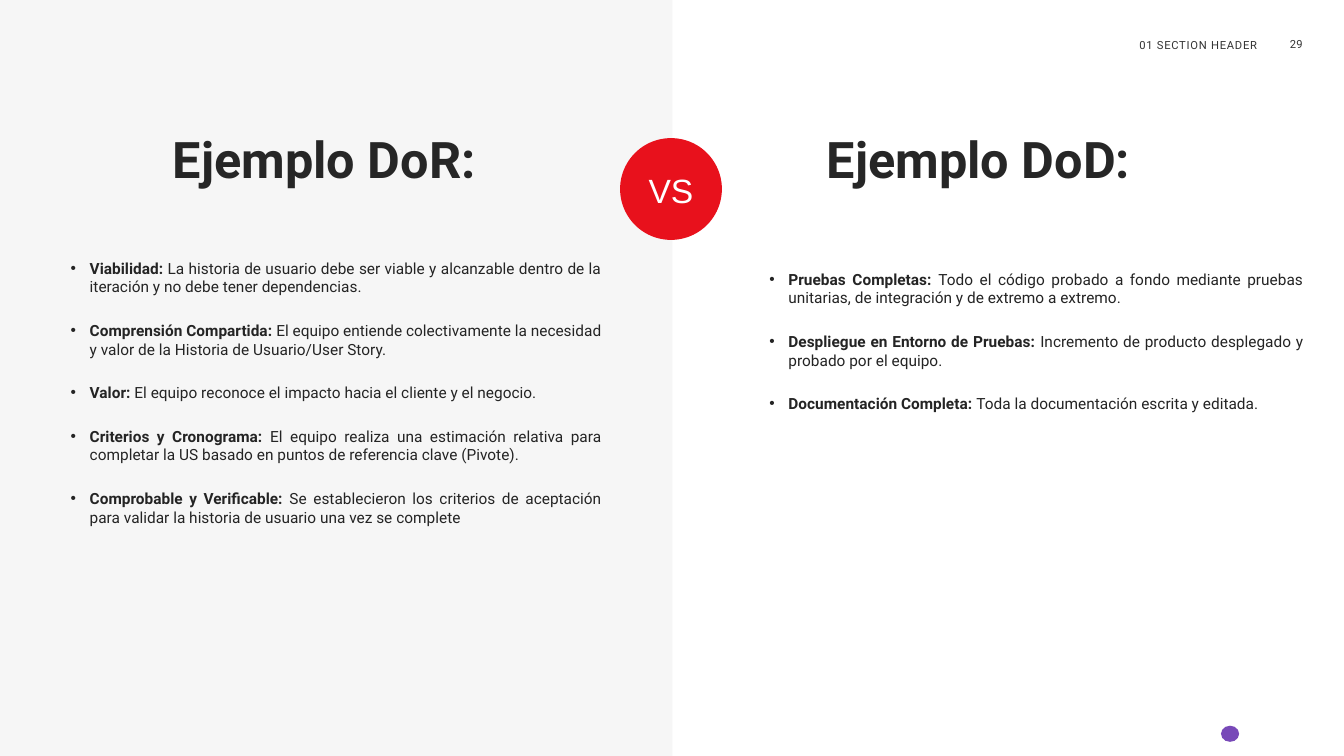
"""Builds the DoR versus DoD comparison slide."""
from lxml.etree import SubElement
from pptx import Presentation
from pptx.dml.color import RGBColor
from pptx.enum.shapes import MSO_SHAPE
from pptx.enum.text import MSO_ANCHOR, PP_ALIGN
from pptx.oxml.ns import qn
from pptx.util import Inches, Pt

HUES = {"back": "F6F6F6", "white": "FFFFFF", "head": "333333", "title": "262626",
        "body": "242424", "red": "E8111C", "dot": "7849B8"}

READY = [
    ("Viabilidad: ", "La historia de usuario debe ser viable y alcanzable dentro de la "
     "iteración y no debe tener dependencias."),
    ("Comprensión Compartida:", " El equipo entiende colectivamente la necesidad y valor "
     "de la Historia de Usuario/User Story."),
    ("Valor:", " El equipo reconoce el impacto hacia el cliente y el negocio."),
    ("Criterios y Cronograma:", " El equipo realiza una estimación relativa para "
     "completar la US basado en puntos de referencia clave (Pivote)."),
    ("Comprobable y Verificable: ", "Se establecieron los criterios de aceptación para "
     "validar la historia de usuario una vez se complete"),
]
DONE = [
    ("Pruebas Completas: ", "Todo el código probado a fondo mediante pruebas unitarias, "
     "de integración y de extremo a extremo."),
    ("Despliegue en Entorno de Pruebas: ", "Incremento de producto desplegado y probado "
     "por el equipo."),
    ("Documentación Completa: ", "Toda la documentación escrita y editada."),
]


class Deck:
    def __init__(self, slide, face="Roboto"):
        self.slide = slide
        self.face = face
        self.fill(slide.background.fill, "back")

    def fill(self, fill, hue):
        fill.solid()
        fill.fore_color.rgb = RGBColor.from_string(HUES[hue])

    def font(self, para, size, hue, face=None, bold=None):
        font = para.font
        font.name, font.size, font.bold = face or self.face, Pt(size), bold
        font.color.rgb = RGBColor.from_string(HUES[hue])

    def frame(self, shape, top=0):
        frame = shape.text_frame
        frame.word_wrap = True
        frame.margin_left = frame.margin_right = frame.margin_bottom = 0
        frame.margin_top = Inches(top)
        return frame

    def shape(self, kind, place, hue):
        shape = self.slide.shapes.add_shape(kind, *map(Inches, place))
        shape.shadow.inherit = False
        self.fill(shape.fill, hue)
        shape.line.fill.background()
        return shape

    def box(self, place):
        return self.frame(self.slide.shapes.add_textbox(*map(Inches, place)))

    def line(self, frame, text, size, hue, align, **style):
        para = frame.paragraphs[0]
        para.alignment, para.line_spacing = align, 0.9
        para.add_run().text = text
        self.font(para, size, hue, **style)
        return para

    def label(self, place, text, size, hue, align, **style):
        return self.line(self.box(place), text, size, hue, align, **style)

    def badge(self, place, text):
        frame = self.frame(self.shape(MSO_SHAPE.OVAL, place, "red"), 0.08)
        frame.vertical_anchor = MSO_ANCHOR.MIDDLE
        self.line(frame, text, 24, "white", PP_ALIGN.CENTER, face="Arial")

    def points(self, place, items, left):
        frame = self.box(place)
        for i, (lead, rest) in enumerate(items):
            para = frame.add_paragraph() if i else frame.paragraphs[0]
            para.alignment, para.space_after = PP_ALIGN.JUSTIFY, Pt(18)
            props = para._p.get_or_add_pPr()
            props.set("marL", str(Inches(left)))
            props.set("indent", str(Inches(-0.19)))
            SubElement(props, qn("a:buFont")).set("typeface", "Arial")
            SubElement(props, qn("a:buChar")).set("char", "•")
            for text, bold in ((lead, True), (rest, False)):
                run = para.add_run()
                run.text, run.font.bold = text, bold
            self.font(para, 11, "body")


def main():
    show = Presentation()
    show.slide_width, show.slide_height = Inches(13.33), Inches(7.5)
    deck = Deck(show.slides.add_slide(show.slide_layouts[6]))
    deck.shape(MSO_SHAPE.RECTANGLE, (6.67, 0, 6.66, 7.5), "white")
    deck.label((12.66, 0.39, 0.26, 0.12), "29", 8, "head", PP_ALIGN.RIGHT)
    head = deck.label((8.32, 0.4, 4.15, 0.12), "01 SECTION HEADER", 8, "head",
                      PP_ALIGN.RIGHT)
    head.runs[0].font._element.set("spc", "50")
    for place, text in (((0.67, 1.34, 5.09, 0.58), "Ejemplo DoR:"),
                        ((7.63, 1.34, 4.15, 0.62), "Ejemplo DoD:")):
        deck.label(place, text, 36, "title", PP_ALIGN.CENTER, bold=True)
    deck.points((0.67, 2.57, 5.3, 4.46), READY, 0.22)
    deck.points((7.63, 2.68, 5.3, 4.46), DONE, 0.19)
    deck.badge((6.15, 1.37, 1.01, 1.01), "VS")
    deck.shape(MSO_SHAPE.OVAL, (12.11, 7.2, 0.18, 0.16), "dot")
    show.save("out.pptx")


if __name__ == "__main__":
    main()
